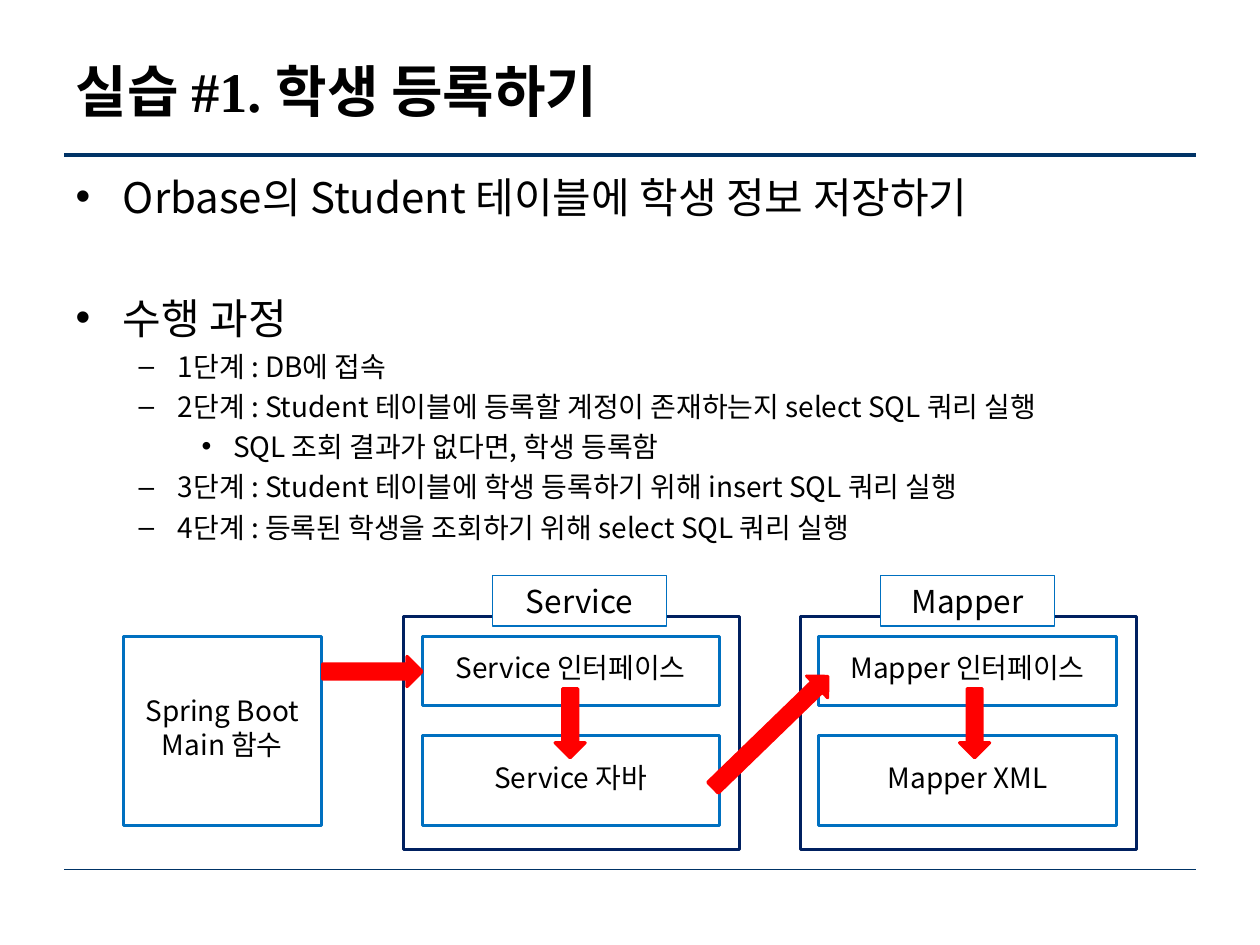
from dataclasses import dataclass

from lxml.etree import SubElement
from pptx import Presentation
from pptx.dml.color import RGBColor
from pptx.enum.shapes import MSO_CONNECTOR, MSO_SHAPE
from pptx.enum.text import MSO_ANCHOR, MSO_AUTO_SIZE, PP_ALIGN
from pptx.oxml.ns import qn
from pptx.util import Inches, Pt


@dataclass(frozen=True)
class Theme:
    black: RGBColor = RGBColor(0, 0, 0)
    white: RGBColor = RGBColor(255, 255, 255)
    rule: RGBColor = RGBColor(0x00, 0x33, 0x66)
    box: RGBColor = RGBColor(0x00, 0x70, 0xC0)
    frame: RGBColor = RGBColor(0x00, 0x20, 0x60)
    arrow: RGBColor = RGBColor(0xFF, 0x00, 0x00)
    korean_font: str = "Noto Sans CJK KR"
    title_font: str = "Times New Roman"
    title_size: int = 32
    topic_size: int = 24
    text_size: int = 16
    label_size: int = 18


THEME = Theme()

# Text, indent level, space before in points
BODY_LINES = [
    ("Orbase의 Student 테이블에 학생 정보 저장하기", 0, 0),
    ("수행 과정", 0, 40.6),
    ("1단계 : DB에 접속", 1, 4),
    ("2단계 : Student 테이블에 등록할 계정이 존재하는지 select SQL 쿼리 실행", 1, 4),
    ("SQL 조회 결과가 없다면, 학생 등록함", 2, 4),
    ("3단계 : Student 테이블에 학생 등록하기 위해 insert SQL 쿼리 실행", 1, 4),
    ("4단계 : 등록된 학생을 조회하기 위해 select SQL 쿼리 실행", 1, 4),
]

# Left edge of the inner boxes, label offset, texts, left edge of the down arrow
LAYERS = [
    (3.35, 0.56, "Service", "Service 인터페이스", "Service 자바", 4.25),
    (6.5, 0.49, "Mapper", "Mapper 인터페이스", "Mapper XML", 7.46),
]


def set_attributes(target, **values):
    for name, value in values.items():
        setattr(target, name, value)


def place(shape, left, top, width, height):
    set_attributes(shape, left=Inches(left), top=Inches(top),
                   width=Inches(width), height=Inches(height))


def add_text(paragraph, text, size, font=THEME.korean_font, bold=False):
    run = paragraph.add_run()
    run.text = text
    set_attributes(run.font, name=font, size=Pt(size), bold=bold)
    run.font.color.rgb = THEME.black
    east_asian = SubElement(run.font._element, qn("a:ea"))
    east_asian.set("typeface", THEME.korean_font)


def add_rule(slide, top, weight):
    line = slide.shapes.add_connector(
        MSO_CONNECTOR.STRAIGHT, Inches(0.51), Inches(top), Inches(9.49), Inches(top))
    line.line.color.rgb = THEME.rule
    line.line.width = Pt(weight)
    SubElement(line._element.spPr, qn("a:effectLst"))


def fill_title(slide, text):
    title = slide.shapes.title
    place(title, 0.5, 0.28, 9, 0.87)
    set_attributes(title.text_frame, vertical_anchor=MSO_ANCHOR.MIDDLE,
                   auto_size=MSO_AUTO_SIZE.NONE)
    paragraph = title.text_frame.paragraphs[0]
    paragraph.alignment = PP_ALIGN.JUSTIFY
    add_text(paragraph, text, THEME.title_size, THEME.title_font, bold=True)


def fill_body(slide, lines):
    body = slide.placeholders[1]
    place(body, 0.5, 1.31, 8.99, 5.39)
    frame = body.text_frame
    frame.auto_size = MSO_AUTO_SIZE.NONE
    for index, (text, level, space) in enumerate(lines):
        paragraph = frame.add_paragraph() if index else frame.paragraphs[0]
        size = THEME.text_size if level else THEME.topic_size
        set_attributes(paragraph, level=level, space_before=Pt(space),
                       line_spacing=Pt(round(size * 1.19, 1)),
                       alignment=PP_ALIGN.LEFT if level else PP_ALIGN.JUSTIFY)
        add_text(paragraph, text, size)


def add_block(slide, kind, position, line, weight=1.75, fill=None):
    shape = slide.shapes.add_shape(kind, *map(Inches, position))
    shape.shadow.inherit = False
    shape.line.color.rgb = line
    shape.line.width = Pt(weight)
    if fill is None:
        shape.fill.background()
    else:
        shape.fill.solid()
        shape.fill.fore_color.rgb = fill
    return shape


def write_centred(shape, lines, size, spacing=None):
    frame = shape.text_frame
    set_attributes(frame, vertical_anchor=MSO_ANCHOR.MIDDLE, word_wrap=True)
    for index, text in enumerate(lines):
        paragraph = frame.add_paragraph() if index else frame.paragraphs[0]
        set_attributes(paragraph, alignment=PP_ALIGN.CENTER, line_spacing=spacing,
                       space_before=Pt(4 if index else 0))
        add_text(paragraph, text, size)


def add_box(slide, position, *lines):
    box = add_block(slide, MSO_SHAPE.RECTANGLE, position, THEME.box)
    write_centred(box, lines, THEME.text_size, Pt(15.4))


def add_layer(slide, left, label_offset, label, upper, lower):
    add_box(slide, (left, 5.05, 2.36, 0.55), upper)
    add_box(slide, (left, 5.84, 2.36, 0.71), lower)
    add_block(slide, MSO_SHAPE.RECTANGLE, (left - 0.15, 4.89, 2.67, 1.85), THEME.frame)
    tag = add_block(slide, MSO_SHAPE.RECTANGLE, (left + label_offset, 4.57, 1.38, 0.4),
                    THEME.box, 0.75, THEME.white)
    write_centred(tag, [label], THEME.label_size)


def add_arrow(slide, left, top, length, rotation=0):
    arrow = add_block(slide, MSO_SHAPE.RIGHT_ARROW, (left, top, length, 0.24),
                      THEME.arrow, fill=THEME.arrow)
    arrow.rotation = rotation


def main():
    presentation = Presentation()
    set_attributes(presentation, slide_width=Inches(10), slide_height=Inches(7.5))
    slide = presentation.slides.add_slide(presentation.slide_layouts[1])

    # Rules, title and list
    add_rule(slide, 6.9, 0.75)
    add_rule(slide, 1.23, 2)
    fill_title(slide, "실습 #1. 학생 등록하기")
    fill_body(slide, BODY_LINES)

    # Call flow boxes
    add_box(slide, (0.98, 5.05, 1.57, 1.5), "Spring Boot", "Main 함수")
    for *layer, _ in LAYERS:
        add_layer(slide, *layer)

    # Call flow arrows
    add_arrow(slide, 2.56, 5.21, 0.79)
    add_arrow(slide, 5.48, 5.69, 1.27, 315.9)
    for *_, arrow_left in LAYERS:
        add_arrow(slide, arrow_left, 5.62, 0.55, 90)

    presentation.save("out.pptx")


if __name__ == "__main__":
    main()
